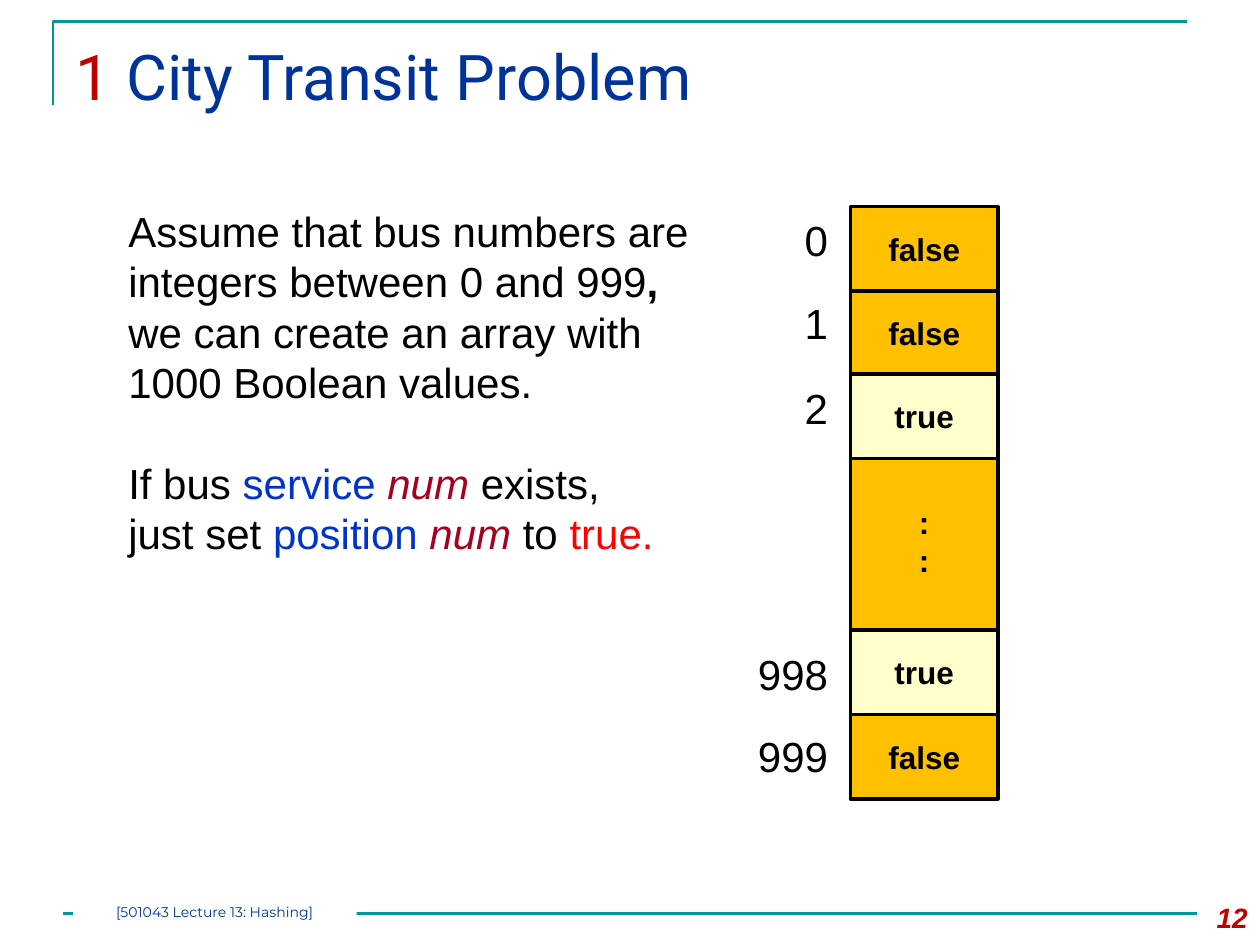
from pptx import Presentation
from pptx.dml.color import RGBColor
from pptx.enum.shapes import MSO_CONNECTOR as CONN, MSO_SHAPE as SHAPE
from pptx.enum.text import MSO_ANCHOR as ANCHOR, PP_ALIGN as ALIGN
from pptx.oxml.ns import qn
from pptx.util import Inches, Pt
from lxml.etree import SubElement


def rgb(value):
    return RGBColor.from_string(value)


def write(sp, text, size=24, font="Arial", color="000000", bold=False, italic=False,
          align=ALIGN.LEFT, anchor=ANCHOR.TOP, wrap=True, margin=None):
    tf = sp.text_frame
    tf.word_wrap = wrap
    tf.vertical_anchor = anchor
    if margin is not None:
        tf.margin_left = tf.margin_right = tf.margin_top = tf.margin_bottom = margin
    lines = [text] if isinstance(text, str) else text
    for i, line in enumerate(lines):
        p = tf.paragraphs[0] if i == 0 else tf.add_paragraph()
        p.alignment = align
        for words, style in [(line, {})] if isinstance(line, str) else line:
            r = p.add_run()
            r.text = words
            r.font.name = font
            r.font.size = Pt(size)
            r.font.bold = style.get("bold", bold)
            r.font.italic = style.get("italic", italic)
            r.font.color.rgb = rgb(style.get("color", color))


TEAL, NAVY, RED = "009999", "003399", "C00000"
ORANGE, CREAM = "FFC000", "FFFFCC"

prs = Presentation()
prs.slide_width, prs.slide_height = Inches(10), Inches(7.5)
s = prs.slides.add_slide(prs.slide_layouts[6])

fb = s.shapes.build_freeform(Inches(0.42), Inches(0.83))
fb.add_line_segments([(Inches(0.42), Inches(0.17)), (Inches(9.42), Inches(0.17))], close=False)
corner = fb.convert_to_shape()
corner.shadow.inherit = False
corner.fill.background()
corner.line.color.rgb = rgb(TEAL)
corner.line.width = Pt(1.5)

rule = s.shapes.add_connector(CONN.STRAIGHT, Inches(0.5), Inches(7.25), Inches(9.5), Inches(7.25))
rule.line.color.rgb = rgb(TEAL)
rule.line.width = Pt(1.5)
SubElement(rule._element.spPr, qn("a:effectLst"))

title = s.shapes.add_textbox(Inches(0.5), Inches(0.25), Inches(9), Inches(0.86))
write(title, [[("1 ", {"color": RED}), ("City Transit Problem", {})]],
      size=36, font="Roboto", color=NAVY)

number = s.shapes.add_textbox(Inches(9.33), Inches(7.1), Inches(0.67), Inches(0.4))
write(number, "12", size=16, color=RED, bold=True, italic=True, align=ALIGN.RIGHT)

blue = {"color": "0033CC"}
num = ("num", {"color": "A50021", "italic": True})

assume = s.shapes.add_textbox(Inches(0.92), Inches(1.58), Inches(4.79), Inches(1.72))
write(assume, ["Assume that bus numbers are",
               [("integers between 0 and 999", {}), (",", {"bold": True})],
               "we can create an array with",
               "1000 Boolean values."], wrap=False)

update = s.shapes.add_textbox(Inches(0.92), Inches(3.58), Inches(4.41), Inches(0.91))
write(update, [[("If bus ", {}), ("service ", blue), num, (" exists,", {})],
               [("just set ", {}), ("position ", blue), num, (" to ", {}),
                ("true.", {"color": "FF0000"})]], wrap=False)

cells = [
    (3.58, 1.42, [":", ":"], ORANGE),
    (1.64, 0.67, "false", ORANGE),
    (2.31, 0.67, "false", ORANGE),
    (2.97, 0.67, "true", CREAM),
    (5, 0.67, "true", CREAM),
    (5.67, 0.67, "false", ORANGE),
]
for top, height, value, fill in cells:
    sp = s.shapes.add_shape(SHAPE.RECTANGLE, Inches(6.75), Inches(top), Inches(1.17), Inches(height))
    sp.shadow.inherit = False
    sp.fill.solid()
    sp.fill.fore_color.rgb = rgb(fill)
    sp.line.color.rgb = rgb("000000")
    sp.line.width = Pt(2)
    write(sp, value, size=18, bold=True, align=ALIGN.CENTER, anchor=ANCHOR.MIDDLE, wrap=False)

for index, top in [("0", 1.65), ("1", 2.31), ("2", 2.99), ("998", 5.1), ("999", 5.75)]:
    sp = s.shapes.add_textbox(Inches(5.75), Inches(top), Inches(0.92), Inches(0.5))
    write(sp, index, align=ALIGN.RIGHT)

footer = s.shapes.add_shape(SHAPE.RECTANGLE, Inches(0.58), Inches(7.17), Inches(2.25), Inches(0.17))
footer.shadow.inherit = False
footer.fill.solid()
footer.fill.fore_color.rgb = rgb("FFFFFF")
footer.line.fill.background()
write(footer, "[501043 Lecture 13: Hashing]", size=8, font="Montserrat", color=NAVY,
      align=ALIGN.CENTER, margin=Inches(0))

prs.save("out.pptx")
